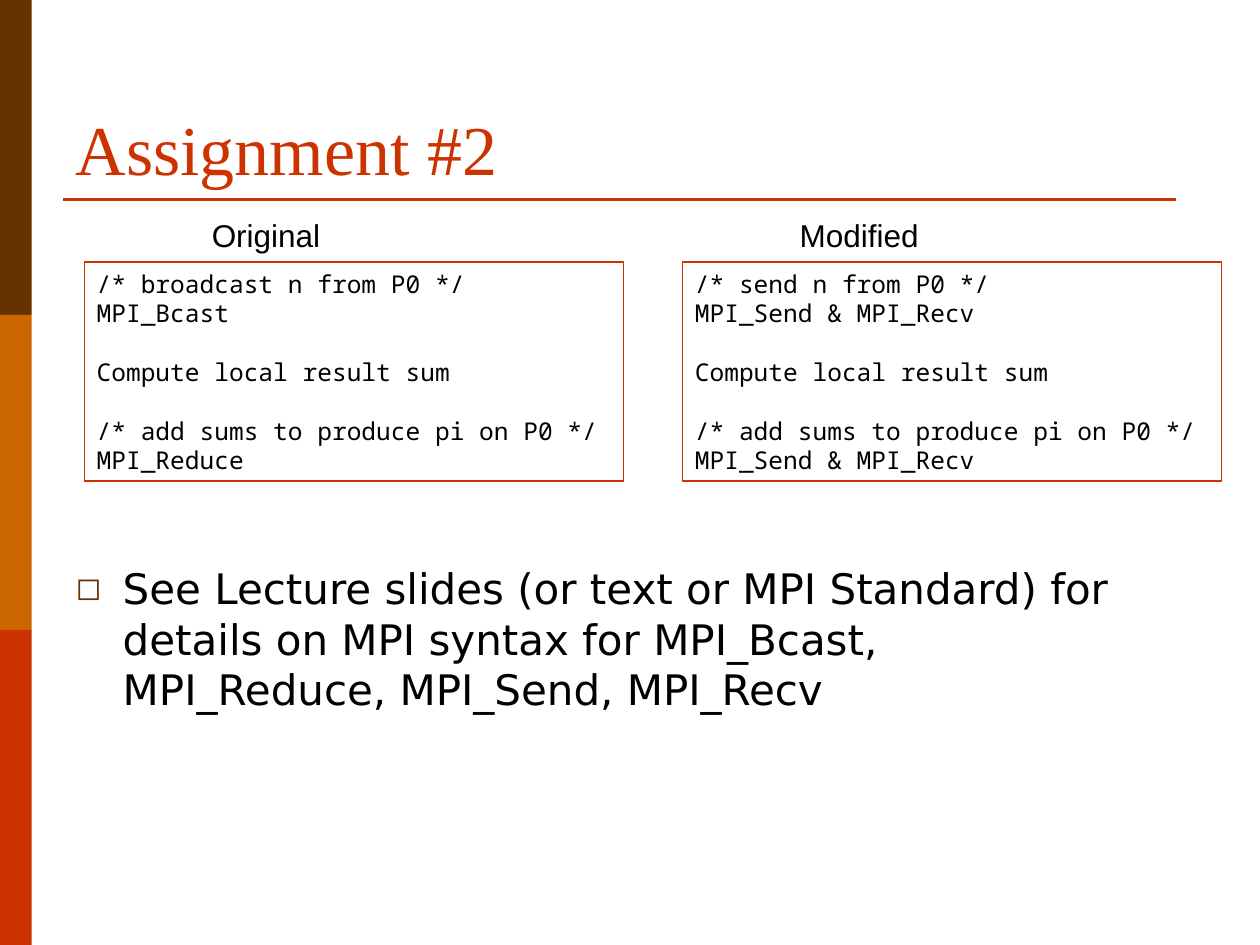
from lxml.etree import SubElement
from pptx import Presentation
from pptx.dml.color import RGBColor
from pptx.enum.shapes import MSO_CONNECTOR, MSO_SHAPE
from pptx.enum.text import MSO_ANCHOR, MSO_AUTO_SIZE, PP_ALIGN
from pptx.oxml.ns import qn
from pptx.util import Cm, Pt

COLORS = {
    "brown": "663300",
    "orange": "CC6600",
    "red": "CC3300",
    "text": "000000",
}
WIDTH, HEIGHT = Cm(25.4), Cm(19.05)
CODE_LINE = Pt(16.8)
COLUMNS = [
    # heading, heading offset, heading width, groups of code lines
    ("Original", Cm(2.32), Cm(2.69), [
        ["/* broadcast n from P0 */", "MPI_Bcast"],
        ["Compute local result sum"],
        ["/* add sums to produce pi on P0 */", "MPI_Reduce"],
    ]),
    ("Modified", Cm(2.11), Cm(2.92), [
        ["/* send n from P0 */", "MPI_Send & MPI_Recv"],
        ["Compute local result sum"],
        ["/* add sums to produce pi on P0 */", "MPI_Send & MPI_Recv"],
    ]),
]


def color(name):
    return RGBColor.from_string(COLORS[name])


def style(p, font, size, name="text"):
    p.alignment = PP_ALIGN.LEFT
    for r in p.runs:
        r.font.name = font
        r.font.size = Pt(size)
        r.font.color.rgb = color(name)


def place(sp, left, top, width, height):
    sp.left, sp.top, sp.width, sp.height = left, top, width, height


def fit_text(tf):
    """Keep lines unbroken and let the shape follow its text."""
    tf.word_wrap = False
    tf.auto_size = MSO_AUTO_SIZE.SHAPE_TO_FIT_TEXT


def add_side_bar(s, left, top, width, height):
    names = ["brown", "orange", "red"]
    part = height // len(names)
    for i, name in enumerate(names):
        sp = s.shapes.add_shape(MSO_SHAPE.RECTANGLE, left, top + i * part, width, part)
        sp.shadow.inherit = False
        sp.fill.solid()
        sp.fill.fore_color.rgb = color(name)
        sp.line.fill.background()


def add_title(s, left, top, width, height):
    """Fill the title placeholder and rule a line below it."""
    sp = s.shapes.title
    place(sp, left, top, width, height)
    tf = sp.text_frame
    tf.text = "Assignment #2"
    tf.vertical_anchor = MSO_ANCHOR.BOTTOM
    tf.auto_size = MSO_AUTO_SIZE.NONE
    style(tf.paragraphs[0], "Times New Roman", 40, "red")

    y = top + height + Cm(0.08)
    rule = s.shapes.add_connector(MSO_CONNECTOR.STRAIGHT, left, y, left + Cm(22.43), y)
    rule.line.color.rgb = color("red")
    rule.line.width = Pt(1.5)
    SubElement(rule._element.spPr, qn("a:effectLst"))


def add_code_column(s, left, top, width, height, column):
    """Place a heading above a framed code listing."""
    heading, offset, heading_width, groups = column
    label = s.shapes.add_textbox(left + offset, top, heading_width, Cm(1.02))
    label.text_frame.text = heading
    fit_text(label.text_frame)
    style(label.text_frame.paragraphs[0], "Arial", 18)

    box_top = top + Cm(1.04)
    sp = s.shapes.add_shape(MSO_SHAPE.RECTANGLE, left, box_top, width, height - Cm(1.04))
    sp.shadow.inherit = False
    sp.fill.background()
    sp.line.color.rgb = color("red")
    sp.line.width = Pt(0.75)
    tf = sp.text_frame
    tf.text = "\n".join(line for group in groups for line in group)
    fit_text(tf)
    for p in tf.paragraphs:
        style(p, "Noto Sans Mono", 14)
    start = 0
    for group in groups[:-1]:
        start += len(group)
        tf.paragraphs[start].space_before = CODE_LINE


def add_body(s, left, top, width, height):
    sp = s.placeholders[1]
    place(sp, left, top, width, height)
    tf = sp.text_frame
    tf.text = ("See Lecture slides (or text or MPI Standard) for details on MPI "
               "syntax for MPI_Bcast, MPI_Reduce, MPI_Send, MPI_Recv")
    tf.auto_size = MSO_AUTO_SIZE.NONE
    p = tf.paragraphs[0]
    p.space_before = Pt(0)
    pPr = p._p.get_or_add_pPr()
    pPr.set("marL", str(Cm(0.95)))
    pPr.set("indent", str(-Cm(0.95)))
    SubElement(SubElement(pPr, qn("a:buClr")), qn("a:srgbClr"), val=COLORS["brown"])
    SubElement(pPr, qn("a:buSzPct"), val="75000")
    SubElement(pPr, qn("a:buFont"), typeface="DejaVu Sans")
    SubElement(pPr, qn("a:buChar"), char="◻")
    style(p, "DejaVu Sans", 24)


def main():
    prs = Presentation()
    prs.slide_width, prs.slide_height = WIDTH, HEIGHT
    s = prs.slides.add_slide(prs.slide_layouts[1])
    add_side_bar(s, 0, 0, Cm(0.64), HEIGHT)
    add_title(s, Cm(1.27), Cm(0.76), Cm(22.86), Cm(3.18))
    add_body(s, Cm(1.27), Cm(11.22), Cm(22.23), Cm(4.55))
    for i, column in enumerate(COLUMNS):
        add_code_column(s, Cm(1.7) + i * Cm(12.06), Cm(4.24), Cm(10.87), Cm(5.46), column)
    prs.save("out.pptx")


if __name__ == "__main__":
    main()
